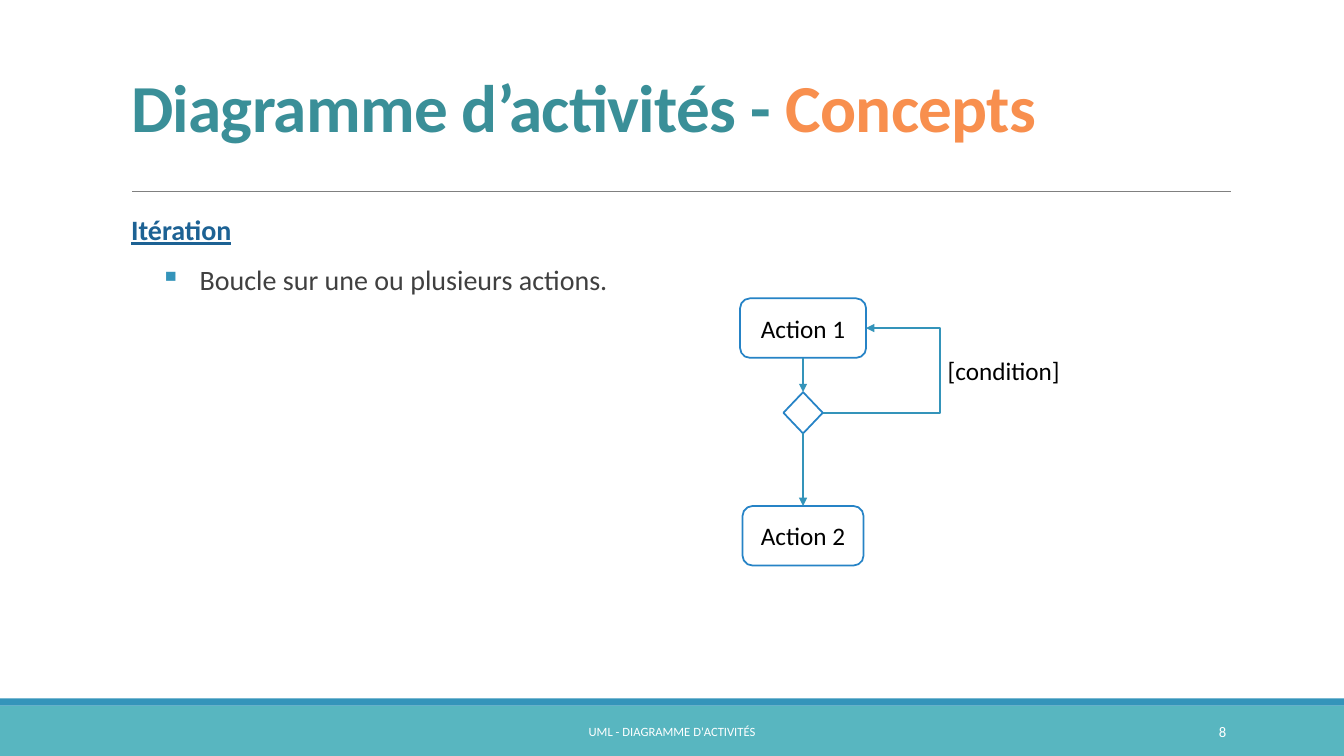
from lxml.etree import SubElement
from pptx import Presentation
from pptx.dml.color import RGBColor
from pptx.enum.shapes import MSO_CONNECTOR as LINE, MSO_SHAPE as SHAPE
from pptx.enum.text import MSO_ANCHOR as ANCHOR, MSO_AUTO_SIZE as FIT, PP_ALIGN as ALIGN
from pptx.oxml.ns import qn
from pptx.util import Inches, Pt

BLUE, OUTLINE, TEAL = "3494BA", "2683C6", "58B6C0"
WHITE, BLACK, DARK = "FFFFFF", "000000", "404040"


def color(value):
    return RGBColor.from_string(value)


def style(span, size, value, bold=False):
    span.font.name = "Calibri"
    span.font.size = Pt(size)
    span.font.bold = bold
    span.font.color.rgb = color(value)


def write(frame, text, size, value, align=ALIGN.CENTER, anchor=ANCHOR.MIDDLE):
    frame.word_wrap = True
    frame.vertical_anchor = anchor
    frame.text = text
    para = frame.paragraphs[0]
    para.alignment = align
    style(para.runs[0], size, value)


def add_text(slide, box, *text_style):
    label = slide.shapes.add_textbox(*map(Inches, box))
    write(label.text_frame, *text_style)


def add_box(slide, kind, box, fill, outline=None):
    shape = slide.shapes.add_shape(kind, *map(Inches, box))
    shape.shadow.inherit = False
    shape.fill.solid()
    shape.fill.fore_color.rgb = color(fill)
    if outline:
        shape.line.color.rgb = color(outline)
        shape.line.width = Pt(1.25)
    else:
        shape.line.fill.background()
    return shape


def add_line(slide, start, end, value=BLUE, width=1.5, kind=LINE.STRAIGHT):
    line = slide.shapes.add_connector(kind, *map(Inches, start + end))
    line.line.color.rgb = color(value)
    line.line.width = Pt(width)
    SubElement(line._element.spPr, qn("a:effectLst"))
    return line


def add_arrow(slide, start, end, kind=LINE.STRAIGHT):
    arrow = add_line(slide, start, end, kind=kind)
    SubElement(arrow.line._get_or_add_ln(), qn("a:tailEnd"), type="triangle")
    return arrow


def add_title(slide, left, top, width, height):
    title = slide.shapes.title
    title.left, title.top, title.width, title.height = map(Inches, (left, top, width, height))
    frame = title.text_frame
    frame.auto_size = FIT.NONE
    frame.vertical_anchor = ANCHOR.BOTTOM
    frame.margin_bottom = Inches(0.45)
    para = frame.paragraphs[0]
    para.alignment = ALIGN.LEFT
    para.line_spacing = 0.85
    for text, value in (("Diagramme d’activités - ", "3A8F98"), ("Concepts", "F88F4E")):
        span = para.add_run()
        span.text = text
        style(span, 48, value, bold=True)
        span._r.get_or_add_rPr().set("spc", "-50")
    rule_y = top + height
    add_line(slide, (left + 0.11, rule_y), (left + width + 0.01, rule_y), "808080", 0.5)


def add_bullet(para, margin, hanging):
    props = para._p.get_or_add_pPr()
    props.set("marL", str(Inches(margin)))
    props.set("indent", str(-Inches(hanging)))
    SubElement(SubElement(props, qn("a:buClr")), qn("a:srgbClr"), val=BLUE)
    SubElement(props, qn("a:buChar"), char="▪")


def add_body(slide, *box):
    frame = slide.shapes.add_textbox(*map(Inches, box)).text_frame
    frame.word_wrap = True
    frame.margin_left = frame.margin_right = 0
    frame.text = "Itération\nBoucle sur une ou plusieurs actions."
    for para in frame.paragraphs:
        para.line_spacing = 0.9
        para.space_before, para.space_after = Pt(12), Pt(2)
    heading, point = frame.paragraphs
    heading._p.get_or_add_pPr().set("marL", str(Inches(0.1)))
    style(heading.runs[0], 20, "1D6294", bold=True)
    heading.runs[0].font.underline = True
    style(point.runs[0], 20, DARK)
    add_bullet(point, 0.78, 0.39)


def add_loop_diagram(slide, left, top):
    """Draw two actions joined by a decision that loops back to the first."""
    width, height = 1.25, 0.59
    center = left + width / 2
    decision_top = top + 0.93
    decision_width, decision_height = 0.39, 0.41
    decision_bottom = decision_top + decision_height
    second_top = top + 2.06

    for text, y, box_width in (("Action 1", top, width), ("Action 2", second_top, 1.2)):
        box = (center - box_width / 2, y, box_width, height)
        action = add_box(slide, SHAPE.ROUNDED_RECTANGLE, box, WHITE, OUTLINE)
        write(action.text_frame, text, 18, BLACK)
    add_box(slide, SHAPE.DIAMOND,
            (center - decision_width / 2, decision_top, decision_width, decision_height),
            WHITE, OUTLINE)

    add_arrow(slide, (center, top + height), (center, decision_top))
    add_arrow(slide, (center, decision_bottom), (center, second_top))
    loop = add_arrow(slide, (center + decision_width / 2, decision_top + decision_height / 2),
                     (left + width, top + height / 2), LINE.ELBOW)
    guides = loop._element.spPr.find(qn("a:prstGeom")).get_or_add_avLst()
    SubElement(guides, qn("a:gd"), name="adj1", fmla="val 269900")
    add_text(slide, (left + 1.92, top + 0.52, 1.39, 0.4), "[condition]", 18, BLACK,
             ALIGN.CENTER, ANCHOR.TOP)


def add_footer(slide, top, width):
    add_box(slide, SHAPE.RECTANGLE, (0, top, width, 0.5), TEAL)
    add_box(slide, SHAPE.RECTANGLE, (0, top - 0.07, width, 0.07), BLUE)
    add_text(slide, (4.03, top + 0.06, 5.27, 0.4), "UML - DIAGRAMME D'ACTIVITÉS", 9, WHITE)
    add_text(slide, (10.83, top + 0.06, 1.43, 0.4), "8", 10.5, WHITE, ALIGN.RIGHT)


def main():
    deck = Presentation()
    deck.slide_width, deck.slide_height = Inches(13.33), Inches(7.5)
    slide = deck.slides.add_slide(deck.slide_layouts[5])
    add_footer(slide, 7, 13.33)
    add_title(slide, 1.2, 0.31, 11, 1.59)
    add_body(slide, 1.2, 2.1, 5.89, 4.61)
    add_loop_diagram(slide, 7.34, 2.96)
    deck.save("out.pptx")


if __name__ == "__main__":
    main()
